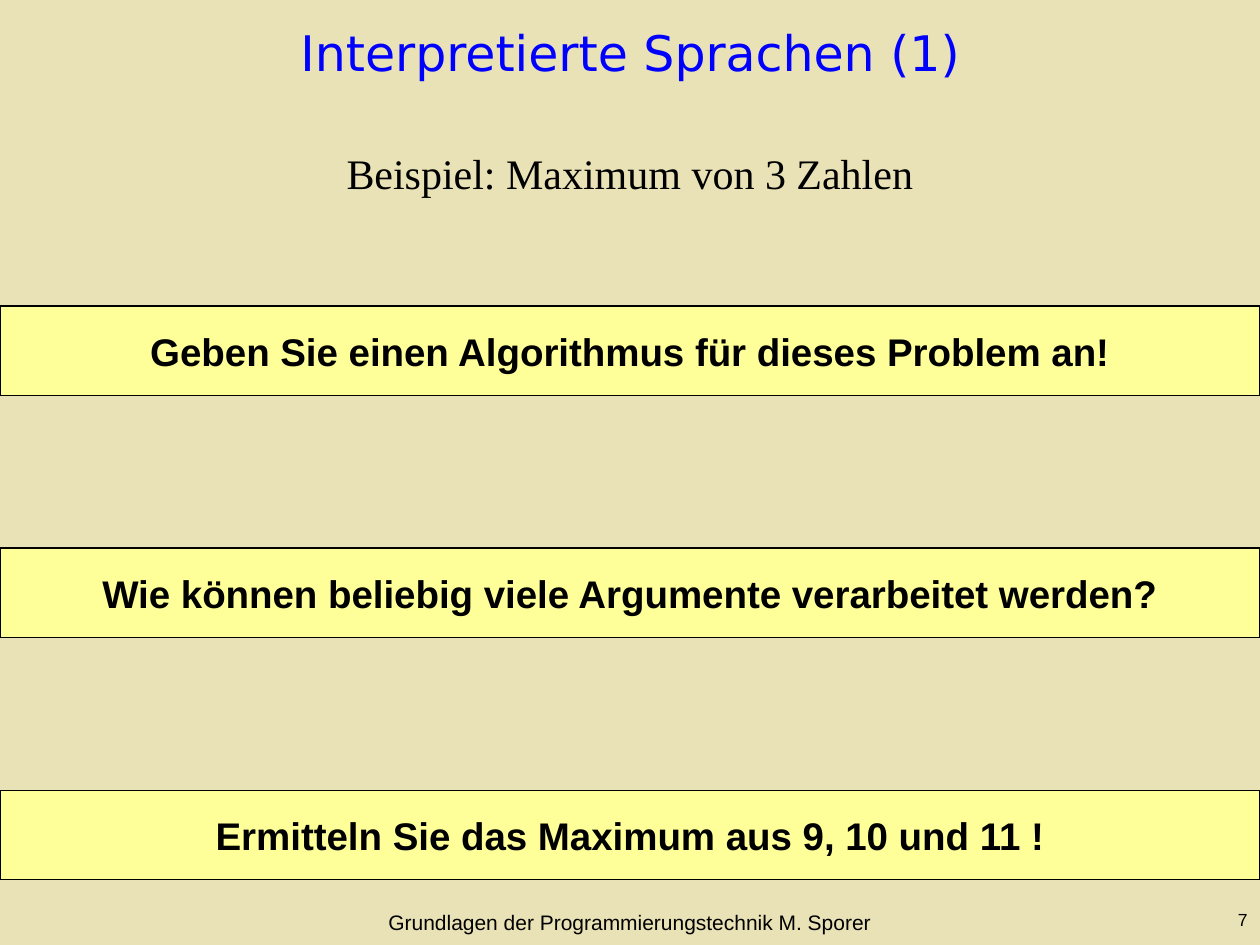
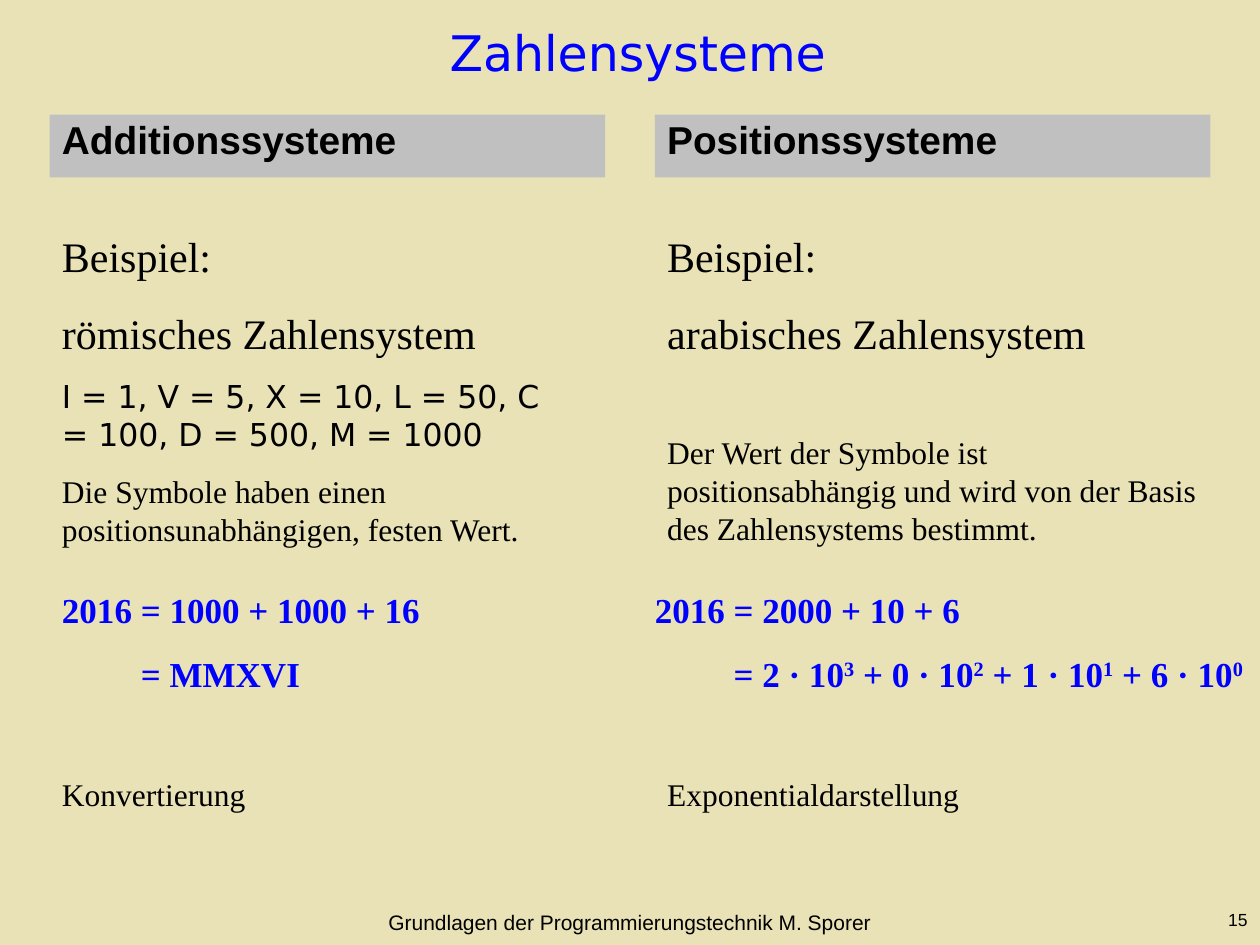
from pptx import Presentation
from pptx.dml.color import RGBColor
from pptx.enum import shapes, text
from pptx.util import Cm, Pt

SANS, SERIF, TITLE_FONT = "Arial", "Times New Roman", "DejaVu Sans"
BLACK, BLUE, SAND, YELLOW, GREY = "000000", "0000FF", "E9E2B6", "FFFF99", "C0C0C0"
PAGE_W, PAGE_H = 25.4, 19.05
LEFT, CENTER, RIGHT = text.PP_ALIGN.LEFT, text.PP_ALIGN.CENTER, text.PP_ALIGN.RIGHT
TOP, MIDDLE = text.MSO_ANCHOR.TOP, text.MSO_ANCHOR.MIDDLE

FOOTER = "Grundlagen der Programmierungstechnik M. Sporer"

EXERCISE = {
    "number": 7,
    "title": "Interpretierte Sprachen (1)",
    "example": "Beispiel: Maximum von 3 Zahlen",
    "tasks": [
        "Geben Sie einen Algorithmus für dieses Problem an!",
        "Wie können beliebig viele Argumente verarbeitet werden?",
        "Ermitteln Sie das Maximum aus 9, 10 und 11 !",
    ],
}

# Text between two ^ marks is an exponent.
COMPARISON = {
    "number": 15,
    "title": " Zahlensysteme",
    "columns": [
        {
            "heading": "Additionssysteme",
            "example": ["Beispiel:", "römisches Zahlensystem"],
            "details": [
                ("I = 1, V = 5, X = 10, L = 50, C = 100, D = 500, M = 1000",
                 dict(font=TITLE_FONT, before=11.2)),
                ("Die Symbole haben einen positionsunabhängigen, festen Wert.",
                 dict(before=11.2)),
            ],
            "example_inset": 0.89,
            "sum": ["2016 = 1000 + 1000 + 16", "= MMXVI"],
            "sum_width": 11.2,
            "sum_inset": 0.25,
            "method": "Konvertierung",
        },
        {
            "heading": "Positionssysteme",
            "example": ["Beispiel:", "arabisches Zahlensystem"],
            "details": [
                ("Der Wert der Symbole ist positionsabhängig und wird von der "
                 "Basis des Zahlensystems bestimmt.", dict(before=43.1)),
            ],
            "example_inset": 0.25,
            "sum": ["2016 = 2000 + 10 + 6",
                    "= 2 · 10^3^ + 0 · 10^2^ + 1 · 10^1^ + 6 · 10^0^"],
            "sum_width": 12.2,
            "sum_inset": 0,
            "method": "Exponentialdarstellung",
        },
    ],
}


def rgb(color):
    return RGBColor.from_string(color)


def add_para(box, words, size=18, font=SERIF, color=BLACK, bold=False,
             align=LEFT, before=0, indent=0, spacing=None):
    """Fill the box's first paragraph if it is still empty, else append one."""
    frame = box.text_frame
    para = frame.paragraphs[0] if not frame.text else frame.add_paragraph()
    para.alignment = align
    para.space_before = Pt(before)
    if spacing:
        para.line_spacing = spacing
    if indent:
        para._p.get_or_add_pPr().set("marL", str(Cm(indent)))
    for position, part in enumerate(words.split("^")):
        if not part:
            continue
        span = para.add_run()
        span.text = part
        span.font.size, span.font.name, span.font.bold = Pt(size), font, bold
        span.font.color.rgb = rgb(color)
        if position % 2:
            span.font._element.set("baseline", "30000")


def add_box(page, left, top, width, height, words=None, fill=None, line=None,
            anchor=TOP, inset=0.25, right_inset=None, **style):
    """A text box, or a rectangle when a fill is given."""
    place = [Cm(value) for value in (left, top, width, height)]
    if fill:
        box = page.shapes.add_shape(shapes.MSO_SHAPE.RECTANGLE, *place)
        box.shadow.inherit = False
        box.fill.solid()
        box.fill.fore_color.rgb = rgb(fill)
        if line:
            box.line.color.rgb = rgb(line)
            box.line.width = Pt(0.75)
        else:
            box.line.fill.background()
    else:
        box = page.shapes.add_textbox(*place)
    frame = box.text_frame
    frame.word_wrap = True
    frame.vertical_anchor = anchor
    frame.margin_left = Cm(inset)
    frame.margin_right = Cm(inset if right_inset is None else right_inset)
    frame.margin_top = frame.margin_bottom = Cm(0.13)
    if words:
        add_para(box, words, **style)
    return box


def add_page(deck, content):
    """A blank page with the shared background, footer, number and title."""
    page = deck.slides.add_slide(deck.slide_layouts[6])
    page.background.fill.solid()
    page.background.fill.fore_color.rgb = rgb(SAND)
    add_box(page, 0.42, 18.2, 24.56, 0.85, FOOTER, size=12, font=SANS, align=CENTER)
    add_box(page, 23.93, 18.2, 1.47, 0.85, str(content["number"]),
            size=10, font=SANS, align=RIGHT)
    add_box(page, 0, 0.42, PAGE_W, 1.27, content["title"], anchor=MIDDLE,
            size=28, font=TITLE_FONT, color=BLUE, align=CENTER)
    return page


def build_exercise(deck):
    page = add_page(deck, EXERCISE)
    add_box(page, 0, 2.85, PAGE_W, 2.28, EXERCISE["example"], inset=5,
            size=24, align=CENTER)
    for row, task in enumerate(EXERCISE["tasks"]):
        add_box(page, 0, 6.17 + row * 4.88, PAGE_W, 1.8, task, fill=YELLOW,
                line=BLACK, anchor=MIDDLE, inset=0, size=22, font=SANS,
                bold=True, align=CENTER)


def build_comparison(deck):
    page = add_page(deck, COMPARISON)
    width, margin = 11.2, 1
    for index, column in enumerate(COMPARISON["columns"]):
        left = margin + index * (PAGE_W - 2 * margin - width)
        add_box(page, left, 2.31, width, 1.27, column["heading"], fill=GREY,
                size=22.2, font=SANS, bold=True, spacing=0.9)

        example = add_box(page, left, 4.52, width, 6.65,
                          right_inset=column["example_inset"])
        for line in column["example"]:
            add_para(example, line, size=24, before=15)
        for line, style in column["details"]:
            add_para(example, line, **style)

        total = add_box(page, left, 11.73, column["sum_width"], 2.39,
                        inset=column["sum_inset"])
        for line, indent in zip(column["sum"], (0, 1.59)):
            add_para(total, line, size=20, color=BLUE, bold=True,
                     before=12.5, indent=indent)

        add_box(page, left, 15.49, width, 1.02, column["method"])


def main():
    deck = Presentation()
    deck.slide_width, deck.slide_height = Cm(PAGE_W), Cm(PAGE_H)
    build_exercise(deck)
    build_comparison(deck)
    deck.save("out.pptx")


if __name__ == "__main__":
    main()
